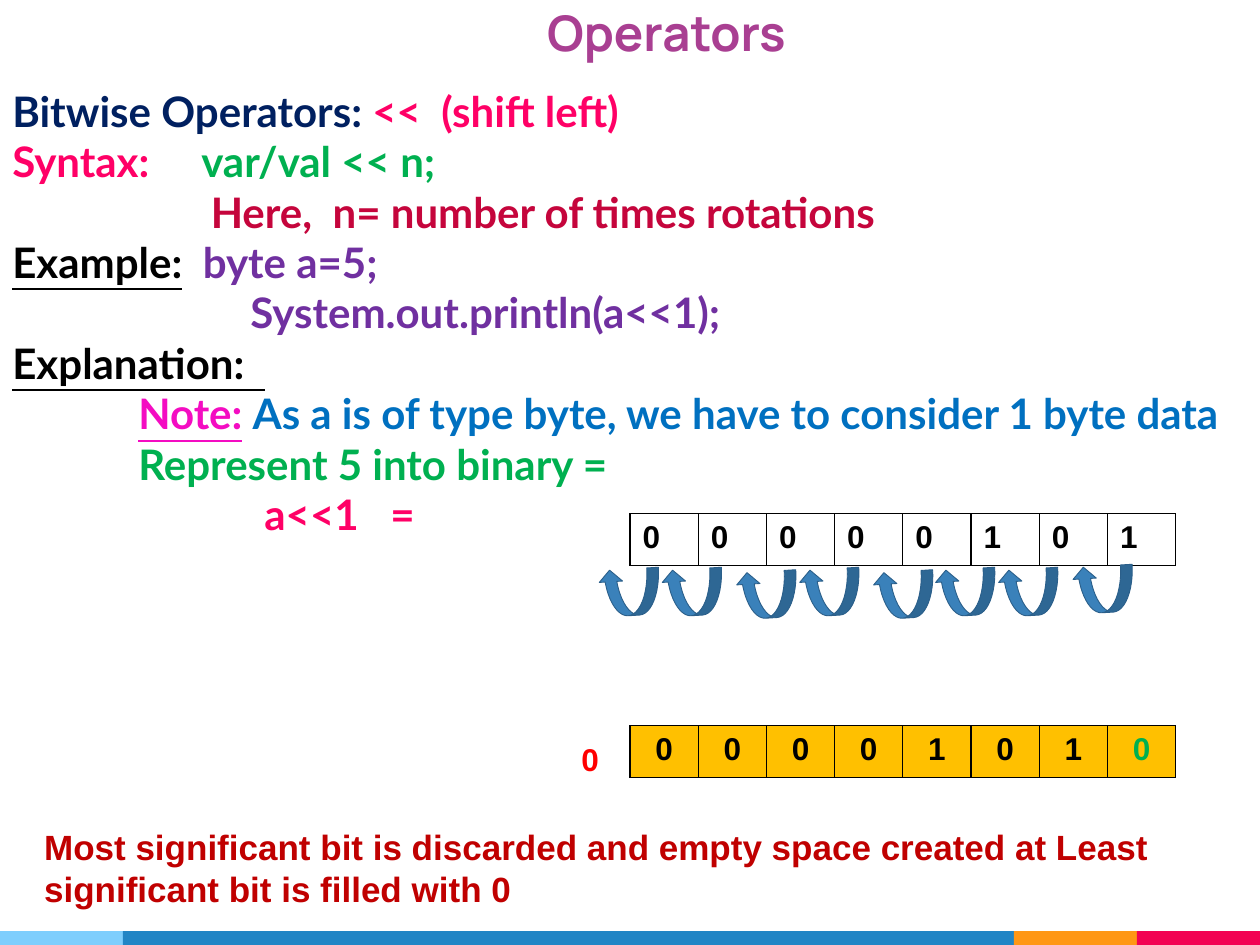
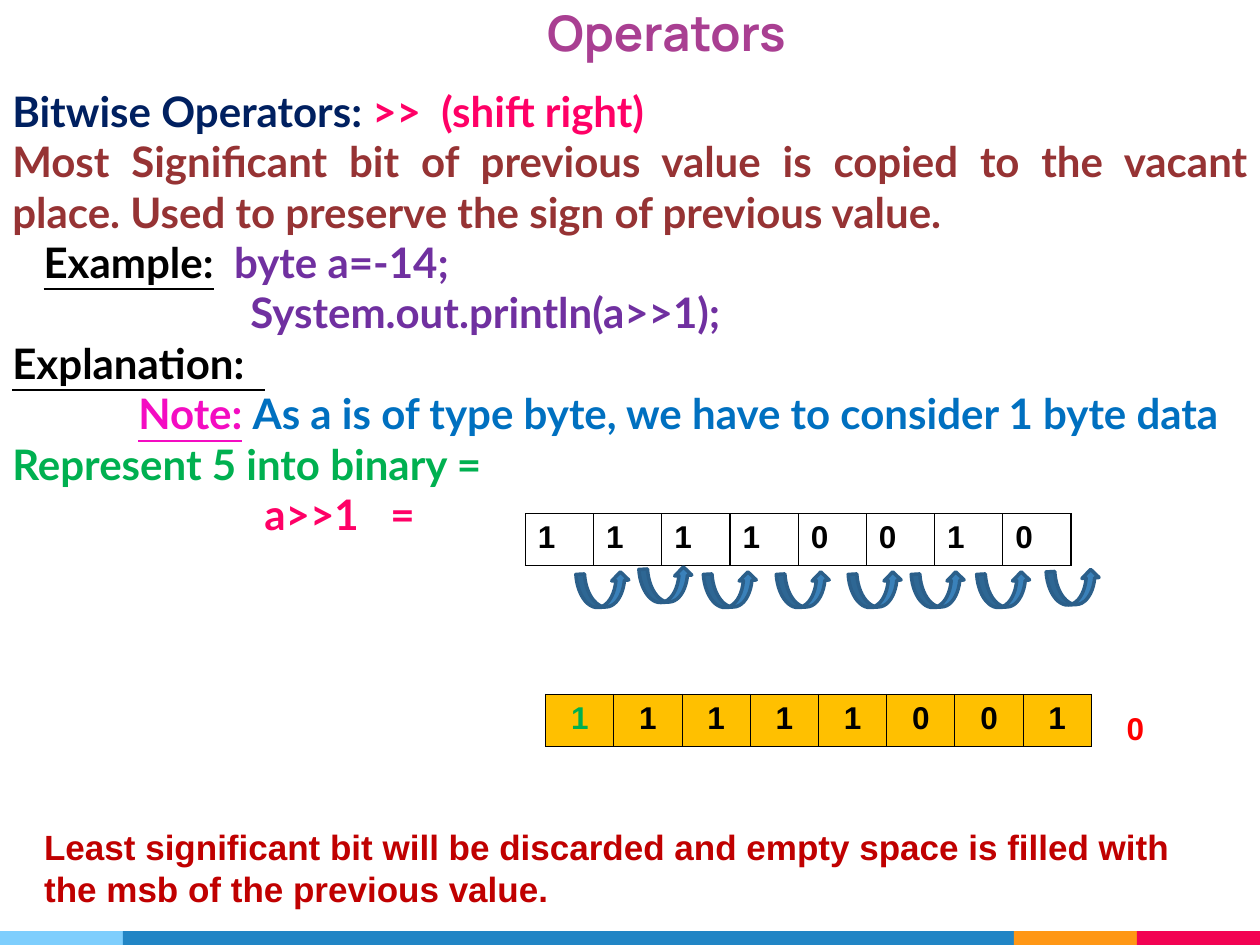
from dataclasses import dataclass

from lxml import etree
from pptx import Presentation
from pptx.dml.color import RGBColor
from pptx.enum.shapes import MSO_SHAPE
from pptx.enum.text import MSO_ANCHOR, PP_ALIGN
from pptx.oxml.ns import qn
from pptx.util import Cm, Pt

RECTANGLE = MSO_SHAPE.RECTANGLE
LEFT_ARROW = MSO_SHAPE.CURVED_LEFT_ARROW
UP_ARROW = MSO_SHAPE.CURVED_UP_ARROW
LEFT, CENTER, JUSTIFY = PP_ALIGN.LEFT, PP_ALIGN.CENTER, PP_ALIGN.JUSTIFY
TOP, BOTTOM = MSO_ANCHOR.TOP, MSO_ANCHOR.BOTTOM

BLACK, NAVY, PINK, GREEN = "000000", "002060", "FF0066", "00B050"
PURPLE, MAGENTA, BLUE, CRIMSON = "7030A0", "F40CC2", "0070C0", "C5053C"
BROWN, DARK_RED, RED, AMBER = "963334", "C00000", "FF0000", "FFC000"
TITLE_COLOR, ARROW_FILL, ARROW_LINE = "A93F92", "3A81BA", "2B5F8A"
FOOTER_BANDS = [(2.48, "7ECEFD"), (17.96, "2185C5"), (2.48, "FF9715"), (2.48, "F20253")]
TITLE_FONT, BODY_FONT, BIT_FONT = "Manrope", "Lato", "Arial"
ROW_WIDTH, ROW_HEIGHT = 11, 1.04


@dataclass
class Box:
    """A region of the slide in centimetres."""
    left: float
    top: float
    width: float
    height: float

    def lengths(self):
        """Return the four lengths that python-pptx expects."""
        return Cm(self.left), Cm(self.top), Cm(self.width), Cm(self.height)


@dataclass
class ArrowStyle:
    """The look of the arrows that move each bit."""
    preset: MSO_SHAPE
    width: float
    height: float
    rotation: float
    line: float


SHIFT_LEFT = ArrowStyle(LEFT_ARROW, 0.94, 1.22, 86.6, 0.5)
SHIFT_RIGHT = ArrowStyle(UP_ARROW, 1.07, 0.69, 356.7, 2)


def color(hex_value):
    """Turn a hex string into a colour."""
    return RGBColor.from_string(hex_value)


def add_run(paragraph, text, font, size, hex_value, underline=False):
    """Append one bold run."""
    run = paragraph.add_run()
    run.text = text
    run.font.name, run.font.size, run.font.bold = font, Pt(size), True
    run.font.color.rgb = color(hex_value)
    if underline:
        run.font.underline = True


def add_frame(slide, box, inset=(0.25, 0.25), anchor=TOP):
    """Add a wrapping text box with side and top insets; return its frame."""
    frame = slide.shapes.add_textbox(*box.lengths()).text_frame
    frame.word_wrap = True
    frame.vertical_anchor = anchor
    frame.margin_left = frame.margin_right = Cm(inset[0])
    frame.margin_top = frame.margin_bottom = Cm(inset[1])
    return frame


def add_line(slide, box, text, font, size, hex_value, align=LEFT, **layout):
    """Add a text box that holds one run."""
    paragraph = add_frame(slide, box, **layout).paragraphs[0]
    paragraph.alignment = align
    add_run(paragraph, text, font, size, hex_value)


def add_preset(slide, preset, box, fill):
    """Add a flat preset shape without outline."""
    shape = slide.shapes.add_shape(preset, *box.lengths())
    shape.shadow.inherit = False
    shape.fill.solid()
    shape.fill.fore_color.rgb = color(fill)
    shape.line.fill.background()
    return shape


def add_footer(slide, box):
    """Lay the coloured bands side by side along the box."""
    left = box.left
    for width, fill in FOOTER_BANDS:
        add_preset(slide, RECTANGLE, Box(left, box.top, width, box.height), fill)
        left += width


def add_explanation(slide, box, lines):
    """Write the lines, each an (indent, tab stop, runs) triple."""
    frame = add_frame(slide, box)
    for number, (indent, tab_stop, runs) in enumerate(lines):
        paragraph = frame.add_paragraph() if number else frame.paragraphs[0]
        paragraph.alignment = JUSTIFY
        properties = paragraph._p.get_or_add_pPr()
        properties.set("marL", str(Cm(indent)))
        properties.set("indent", "0")
        if tab_stop:
            stops = etree.SubElement(properties, qn("a:tabLst"))
            etree.SubElement(stops, qn("a:tab"), pos=str(Cm(tab_stop)), algn="l")
        for run in runs:
            add_run(paragraph, run[0], BODY_FONT, 24, *run[1:])


def add_borders(cell):
    """Draw a thin black line on all sides of a cell."""
    properties = cell._tc.get_or_add_tcPr()
    for side in ("a:lnL", "a:lnR", "a:lnT", "a:lnB"):
        line = etree.SubElement(properties, qn(side), w=str(Pt(0.75)))
        fill = etree.SubElement(line, qn("a:solidFill"))
        etree.SubElement(fill, qn("a:srgbClr"), val=BLACK)


def add_bits(slide, box, bits, fill=None, align=LEFT, new_bit=None):
    """Show a byte as a one-row table; new_bit is the index of the filled-in bit."""
    table = slide.shapes.add_table(1, len(bits), *box.lengths()).table
    table.first_row = table.horz_banding = False
    for index, bit in enumerate(bits):
        table.columns[index].width = Cm(box.width / len(bits))
        cell = table.cell(0, index)
        add_borders(cell)
        if fill:
            cell.fill.solid()
            cell.fill.fore_color.rgb = color(fill)
        else:
            cell.fill.background()
        paragraph = cell.text_frame.paragraphs[0]
        paragraph.alignment = align
        add_run(paragraph, bit, BIT_FONT, 18, GREEN if index == new_bit else BLACK)


def add_shift_arrows(slide, row, style, offsets):
    """Place one arrow per bit, offset from the corner of the row of bits."""
    for across, down in offsets:
        place = Box(row.left + across, row.top + down, style.width, style.height)
        arrow = add_preset(slide, style.preset, place, ARROW_FILL)
        arrow.rotation = style.rotation
        arrow.line.color.rgb = color(ARROW_LINE)
        arrow.line.width = Pt(style.line)


def heading_line(operator, meaning):
    """Name the operator."""
    return (0, None, [("Bitwise Operators: ", NAVY), (f"{operator}  ({meaning})", PINK)])


def example_lines(operator, value, example_indent, binary_indent):
    """Give the lines from the example to the shifted value."""
    return [
        (example_indent, None, [("Example:", BLACK, True), (f"  byte a={value};", PURPLE)]),
        (4.8, None, [(f"System.out.println(a{operator}1);", PURPLE)]),
        (0, None, [("Explanation:  ", BLACK, True)]),
        (2.54, None, [("Note:", MAGENTA, True), (" ", PINK),
                      ("As a is of type byte, we have to consider 1 byte data", BLUE)]),
        (binary_indent, None, [("Represent 5 into binary =", GREEN)]),
        (5.08, None, [(f"a{operator}1\t=", PINK)]),
    ]


def add_operator_slide(deck, lines, conclusion):
    """Add a slide with title, explanation, conclusion and footer."""
    slide = deck.slides.add_slide(deck.slide_layouts[6])
    add_footer(slide, Box(0, 18.77, 25.4, 0.28))
    add_line(slide, Box(4.24, 0.18, 18.39, 1.3), "Operators", TITLE_FONT, 28,
             TITLE_COLOR, CENTER, anchor=BOTTOM)
    add_explanation(slide, Box(0, 1.47, 25.4, 1.47), lines)
    add_line(slide, Box(0.64, 16.51, 23.7, 1.96), conclusion, BIT_FONT, 20,
             DARK_RED, inset=(0.25, 0.13))
    return slide


def add_shift(slide, source, result, before, after, new_bit, lost_left, style, offsets):
    """Show the byte, its arrows, the shifted byte and the discarded bit."""
    add_bits(slide, source, before)
    add_bits(slide, result, after, AMBER, CENTER, new_bit)
    add_shift_arrows(slide, source, style, offsets)
    add_line(slide, Box(lost_left, result.top - 0.03, 1.27, 1.27), "0", BIT_FONT, 18,
             RED, inset=(0.49, 0.32))


deck = Presentation()
deck.slide_width, deck.slide_height = Cm(25.4), Cm(19.05)

left_slide = add_operator_slide(
    deck,
    [heading_line("<<", "shift left"),
     (0, 3.8, [("Syntax:\t", PINK), ("var/val << n;", GREEN)]),
     (4, None, [("Here,  n= number of times rotations", CRIMSON)]),
     *example_lines("<<", "5", 0, 2.54)],
    "Most significant bit is discarded and empty space created at Least "
    "significant bit is filled with 0")
add_shift(
    left_slide, Box(12.7, 10.36, ROW_WIDTH, ROW_HEIGHT),
    Box(12.7, 14.63, ROW_WIDTH, ROW_HEIGHT), "00000101", "00001010", 7, 11.23, SHIFT_LEFT,
    [(-0.48, 0.97), (0.79, 0.97), (2.29, 1.02), (3.56, 0.97),
     (5.05, 1.02), (6.3, 0.97), (7.57, 0.97), (9.07, 0.91)])

right_slide = add_operator_slide(
    deck,
    [heading_line(">>", "shift right"),
     (0, None, [("Most Significant bit of previous value is copied to the vacant place. "
                 "Used to preserve the sign of previous value.", BROWN)]),
     *example_lines(">>", "-14", 0.63, 0)],
    "Least significant bit will be discarded and empty space is filled with "
    "the msb of the previous value.")
add_shift(
    right_slide, Box(10.59, 10.36, ROW_WIDTH, ROW_HEIGHT),
    Box(11, 14, ROW_WIDTH, ROW_HEIGHT), "11110010", "11111001", 0, 22.22, SHIFT_RIGHT,
    [(1.04, 1.19), (2.31, 1.09), (3.61, 1.19), (5.08, 1.19),
     (6.53, 1.19), (7.8, 1.19), (9.12, 1.19), (10.52, 1.14)])

deck.save("out.pptx")
